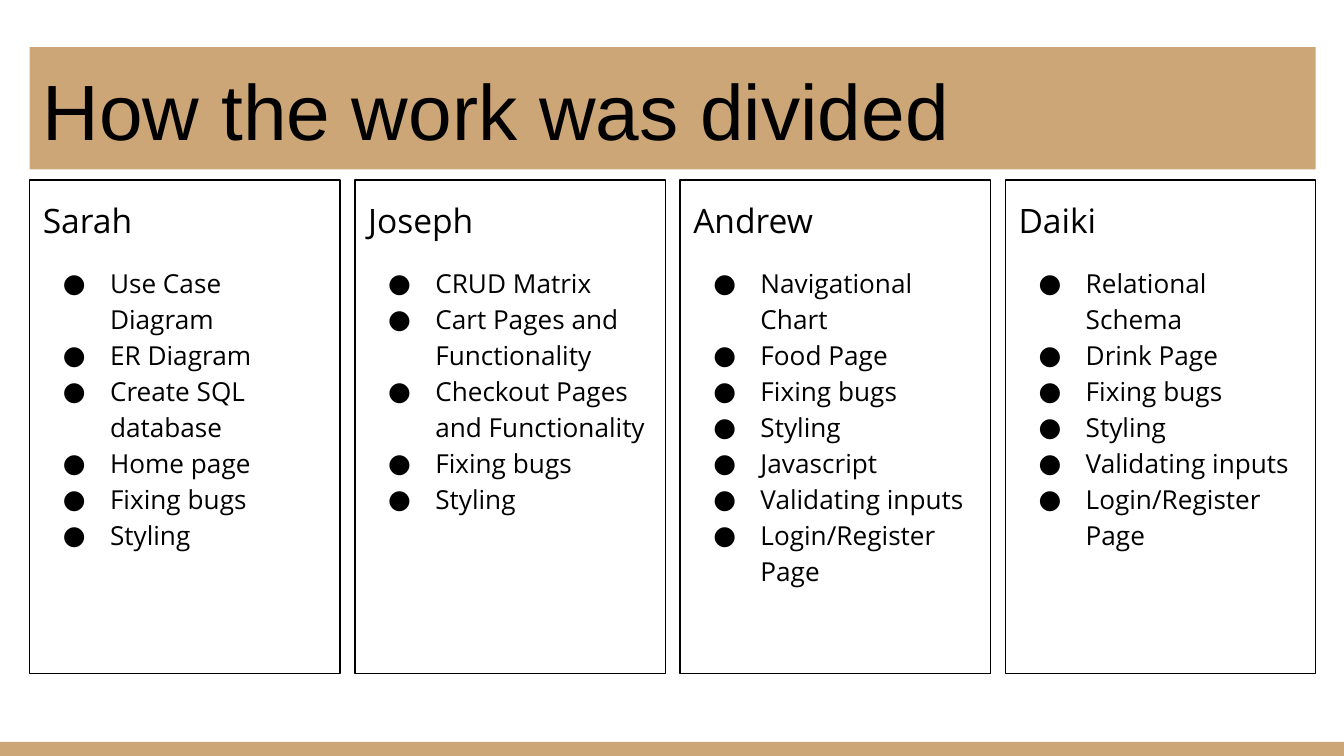
"""Build a slide showing how the project work was divided among four people."""
from dataclasses import dataclass

from lxml import etree
from pptx import Presentation
from pptx import util as u
from pptx.dml.color import RGBColor
from pptx.enum import shapes, text
from pptx.oxml.ns import qn


@dataclass(frozen=True)
class Theme:
    tan: RGBColor = RGBColor(0xCC, 0xA6, 0x77)
    ink: RGBColor = RGBColor(0, 0, 0)
    title_font: str = "Arial"
    body_font: str = "Open Sans"
    title_size: int = 42
    name_size: int = 18
    task_size: int = 14


def write(paragraph, words, *, font, size, color, spacing=1.0, before=0, bullet=False):
    if bullet:
        properties = paragraph._p.get_or_add_pPr()
        properties.set("marL", str(u.Inches(0.5)))
        properties.set("indent", str(-u.Inches(0.35)))
        bullet_color = etree.SubElement(properties, qn("a:buClr"))
        etree.SubElement(bullet_color, qn("a:srgbClr"), val=str(color))
        etree.SubElement(properties, qn("a:buSzPts"), val=str(size * 100))
        etree.SubElement(properties, qn("a:buFont"), typeface=font)
        etree.SubElement(properties, qn("a:buChar"), char="●")
    paragraph.alignment = text.PP_ALIGN.LEFT
    paragraph.line_spacing = spacing
    if before:
        paragraph.space_before = u.Pt(before)
    paragraph.font.size = u.Pt(size)
    run = paragraph.add_run()
    run.text = words
    run.font.name = font
    run.font.size = u.Pt(size)
    run.font.color.rgb = color


class SlideBuilder:
    def __init__(self, slide, theme):
        self.slide = slide
        self.theme = theme

    def panel(self, left, top, width, height, fill=None, outline=None):
        panel = self.slide.shapes.add_shape(
            shapes.MSO_SHAPE.RECTANGLE,
            u.Inches(left), u.Inches(top), u.Inches(width), u.Inches(height))
        panel.shadow.inherit = False
        if fill is None:
            panel.fill.background()
        else:
            panel.fill.solid()
            panel.fill.fore_color.rgb = fill
        if outline is None:
            panel.line.fill.background()
        else:
            panel.line.color.rgb = outline
            panel.line.width = u.Pt(0.75)
        frame = panel.text_frame
        frame.word_wrap = True
        frame.margin_left = frame.margin_right = u.Inches(0.1)
        frame.margin_top = frame.margin_bottom = u.Inches(0.1)
        return frame

    def title(self, words, left, top, width, height):
        frame = self.panel(left, top, width, height, fill=self.theme.tan)
        frame.vertical_anchor = text.MSO_ANCHOR.BOTTOM
        write(frame.paragraphs[0], words, font=self.theme.title_font,
              size=self.theme.title_size, color=self.theme.ink)

    def member(self, name, tasks, left, top, width, height):
        frame = self.panel(left, top, width, height, outline=self.theme.ink)
        frame.vertical_anchor = text.MSO_ANCHOR.TOP
        style = dict(font=self.theme.body_font, color=self.theme.ink, spacing=1.15)
        write(frame.paragraphs[0], name, size=self.theme.name_size, **style)
        for position, task in enumerate(tasks):
            write(frame.add_paragraph(), task, size=self.theme.task_size,
                  before=0 if position else 12, bullet=True, **style)


WORK = {
    "Sarah": ["Use Case Diagram", "ER Diagram", "Create SQL database", "Home page",
              "Fixing bugs", "Styling"],
    "Joseph": ["CRUD Matrix", "Cart Pages and Functionality",
               "Checkout Pages and Functionality", "Fixing bugs", "Styling"],
    "Andrew": ["Navigational Chart", "Food Page", "Fixing bugs", "Styling", "Javascript",
               "Validating inputs", "Login/Register Page"],
    "Daiki": ["Relational Schema", "Drink Page", "Fixing bugs", "Styling",
              "Validating inputs", "Login/Register Page"],
}


def main():
    deck = Presentation()
    deck.slide_width = u.Inches(10)
    deck.slide_height = u.Inches(10 * 9 / 16)
    theme = Theme()
    builder = SlideBuilder(deck.slides.add_slide(deck.slide_layouts[6]), theme)

    margin, column_width, pitch = 0.22, 2.31, 2.42
    builder.panel(0, 5.52, 10, 0.11, fill=theme.tan)
    builder.title("How the work was divided", margin, 0.35, 9.57, 0.91)
    for column, (name, tasks) in enumerate(WORK.items()):
        builder.member(name, tasks, margin + column * pitch, 1.34, column_width, 3.67)
    deck.save("out.pptx")


if __name__ == "__main__":
    main()
